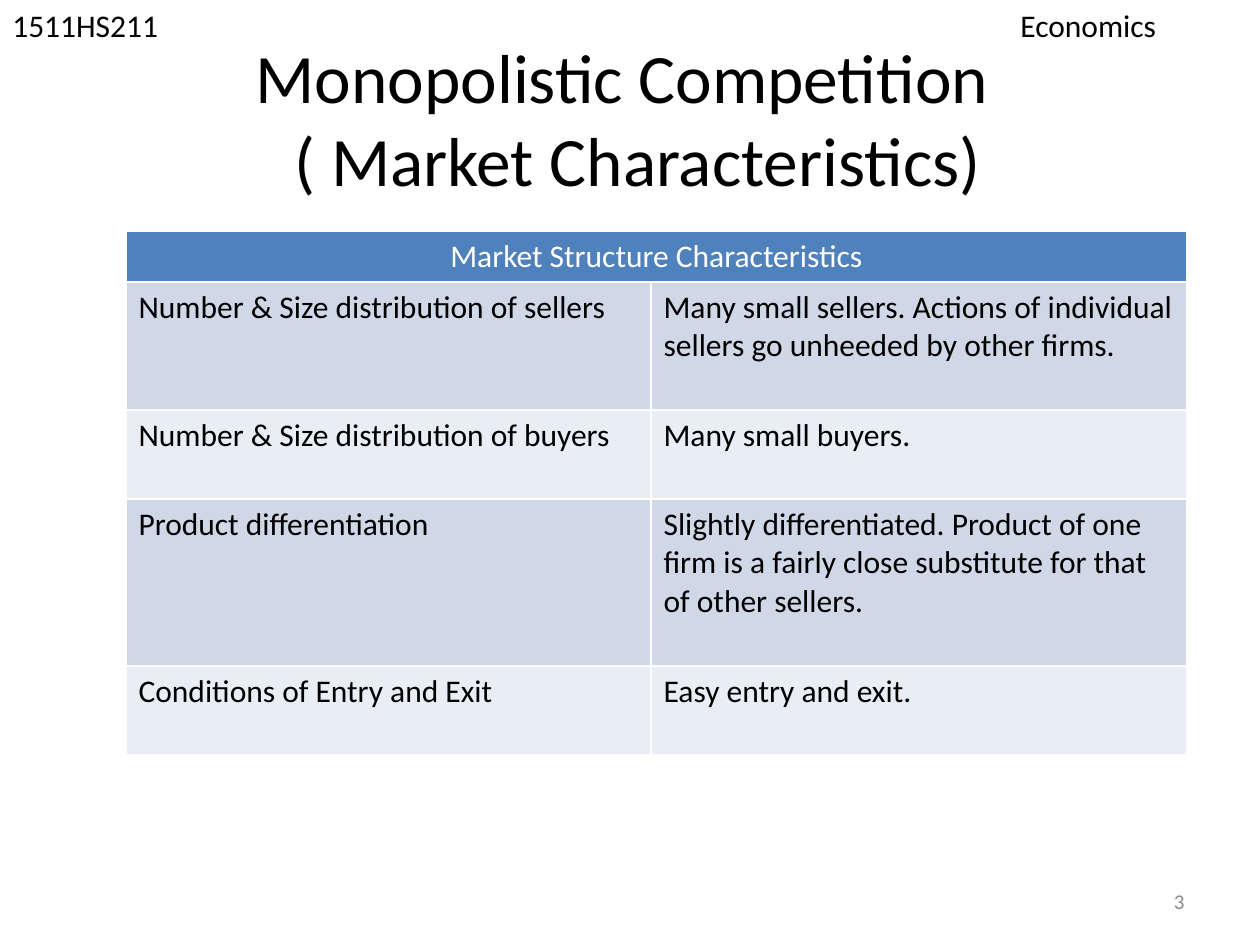
from lxml.etree import SubElement
from pptx import Presentation
from pptx.dml.color import RGBColor
from pptx.enum.text import MSO_ANCHOR, PP_ALIGN
from pptx.oxml.ns import qn
from pptx.util import Pt

PX = 914400 // 126
INK = {"text": "000000", "head": "4F81BD", "odd": "D0D8E8",
       "even": "E9EDF4", "white": "FFFFFF", "page": "8C8C8C"}
ROWS = [
    ("Number & Size distribution of sellers",
     "Many small sellers. Actions of individual sellers go unheeded by other firms."),
    ("Number & Size distribution of buyers", "Many small buyers."),
    ("Product differentiation",
     "Slightly differentiated. Product of one firm is a fairly close "
     "substitute for that of other sellers."),
    ("Conditions of Entry and Exit", "Easy entry and exit."),
]


def px(*nums):
    return [n * PX for n in nums]


def write(frame, text, size=18, ink="text", align=PP_ALIGN.LEFT, tab=None):
    """Fill a text frame with one formatted paragraph."""
    frame.word_wrap = True
    para = frame.paragraphs[0]
    para.text = text
    para.alignment = align
    if tab:
        stops = SubElement(para._p.get_or_add_pPr(), qn("a:tabLst"))
        SubElement(stops, qn("a:tab"), pos=str(tab * PX), algn="l")
    for run in para.runs:
        font = run.font
        font.name, font.size, font.bold = "Calibri", Pt(size), False
        font.color.rgb = RGBColor.from_string(INK[ink])


def paint(cell, fill):
    """Give a cell thin white borders and a solid fill."""
    props = cell._tc.get_or_add_tcPr()
    for side in ("lnL", "lnR", "lnT", "lnB"):
        line = SubElement(props, qn(f"a:{side}"), w=str(Pt(1)))
        solid = SubElement(line, qn("a:solidFill"))
        SubElement(solid, qn("a:srgbClr"), val=INK["white"])
    cell.fill.solid()
    cell.fill.fore_color.rgb = RGBColor.from_string(INK[fill])


def add_head(slide, x, y, w, h):
    # Course code at left, subject at a tab stop
    strip = slide.shapes.add_textbox(*px(x, y, w, h))
    write(strip.text_frame, "1511HS211\tEconomics", tab=1008)


def add_title(slide, x, y, w, h):
    title = slide.shapes.title
    title.left, title.top, title.width, title.height = px(x, y, w, h)
    title.text_frame.vertical_anchor = MSO_ANCHOR.MIDDLE
    write(title.text_frame, "Monopolistic Competition \v ( Market Characteristics)",
          size=39.6, align=PP_ALIGN.CENTER)


def add_grid(slide, x, y, cols, highs):
    frame = slide.shapes.add_table(len(highs), len(cols),
                                   *px(x, y, sum(cols), sum(highs)))
    table = frame.table
    for col, wide in zip(table.columns, cols):
        col.width = wide * PX
    for row, high in zip(table.rows, highs):
        row.height = high * PX

    # Merged heading row
    head = table.cell(0, 0)
    head.merge(table.cell(0, len(cols) - 1))
    for cell in table.rows[0].cells:
        paint(cell, "head")
    write(head.text_frame, "Market Structure Characteristics",
          ink="white", align=PP_ALIGN.CENTER)

    # Banded body rows
    for r, texts in enumerate(ROWS, 1):
        for c, text in enumerate(texts):
            cell = table.cell(r, c)
            paint(cell, "odd" if r % 2 else "even")
            write(cell.text_frame, text)


def add_page(slide, x, y, w, h):
    box = slide.shapes.add_textbox(*px(x, y, w, h))
    box.text_frame.vertical_anchor = MSO_ANCHOR.MIDDLE
    write(box.text_frame, "3", size=12, ink="page", align=PP_ALIGN.RIGHT)


def main():
    deck = Presentation()
    deck.slide_width, deck.slide_height = px(1260, 945)
    slide = deck.slides.add_slide(deck.slide_layouts[5])
    add_title(slide, 63, 38, 1134, 158)
    add_grid(slide, 126, 231, cols=(525, 536), highs=(51, 128, 89, 167, 89))
    add_head(slide, 0, 0, 1260, 50)
    add_page(slide, 903, 876, 294, 50)
    deck.save("out.pptx")


if __name__ == "__main__":
    main()
